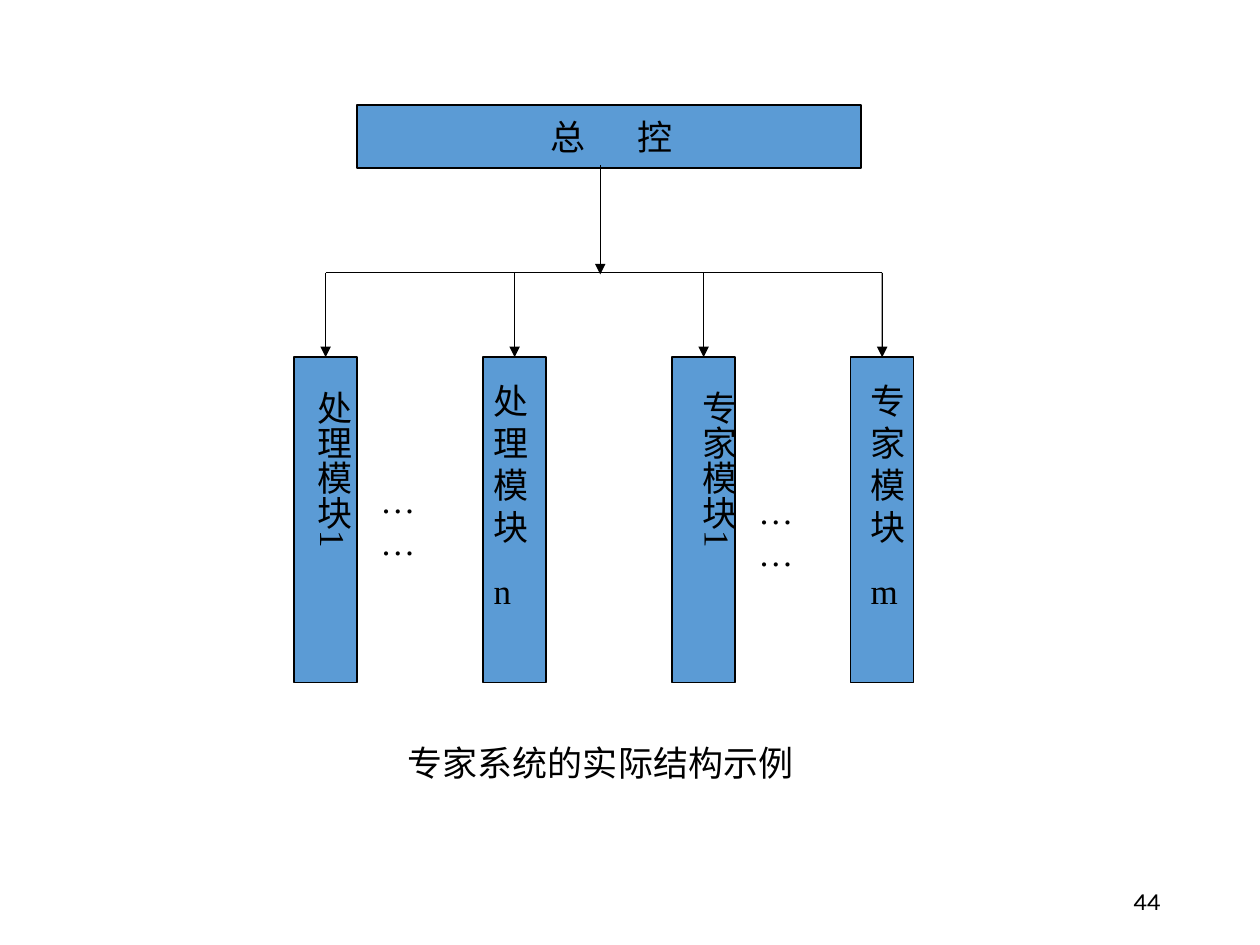
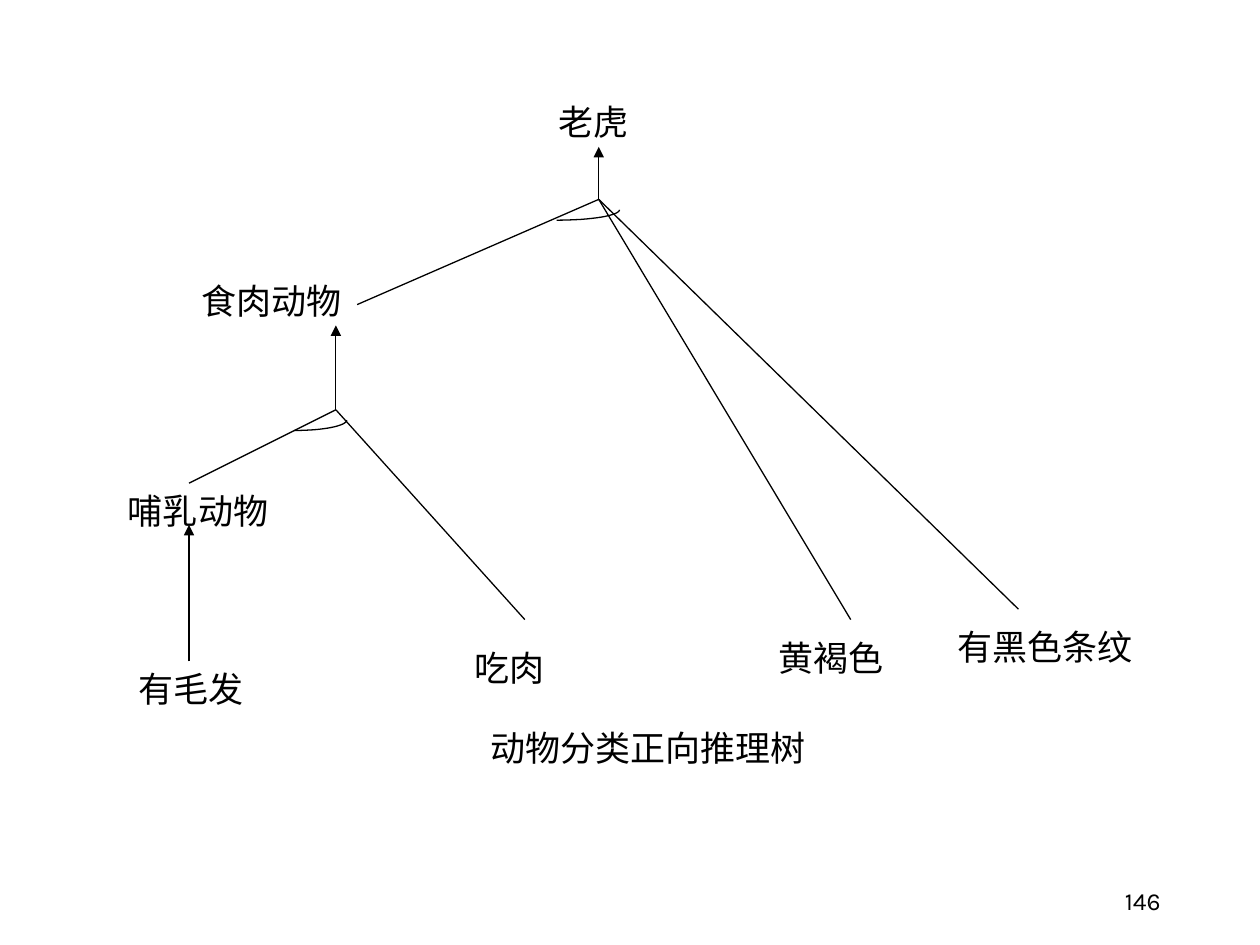
from math import cos, pi, sin

from lxml import etree
from pptx import Presentation
from pptx.dml.color import RGBColor
from pptx.enum.lang import MSO_LANGUAGE_ID
from pptx.enum.shapes import MSO_CONNECTOR, MSO_SHAPE
from pptx.enum.text import MSO_ANCHOR, MSO_AUTO_SIZE, PP_ALIGN
from pptx.oxml.ns import qn
from pptx.util import Cm, Pt

CHINESE = MSO_LANGUAGE_ID.SIMPLIFIED_CHINESE
STRAIGHT = MSO_CONNECTOR.STRAIGHT
RECTANGLE = MSO_SHAPE.RECTANGLE
MIDDLE = MSO_ANCHOR.MIDDLE
FIT_SHAPE = MSO_AUTO_SIZE.SHAPE_TO_FIT_TEXT
CENTER, RIGHT = PP_ALIGN.CENTER, PP_ALIGN.RIGHT

COLORS = {"ink": "000000", "box": "5B9BD5"}
BODY = {"name": "Times New Roman", "size": Pt(20), "language_id": CHINESE}
NUMBER = {"name": "Karla", "size": Pt(14)}
LABEL_H = 1.11
ARC_STEPS = 16


def color(key):
    return RGBColor.from_string(COLORS[key])


class Deck:
    def __init__(self):
        self.prs = Presentation()
        self.prs.slide_width, self.prs.slide_height = Cm(25.4), Cm(19.05)

    def new_slide(self, number):
        self.s = self.prs.slides.add_slide(self.prs.slide_layouts[6])
        tf = self.text(17.93, 17.65, 5.72, 1.02, [number], NUMBER, RIGHT)
        self.apply(tf, {"vertical_anchor": MIDDLE, "auto_size": MSO_AUTO_SIZE.NONE})

    def apply(self, target, values):
        for name, value in values.items():
            setattr(target, name, value)

    def run(self, p, text, values=BODY):
        r = p.add_run()
        r.text = text
        self.apply(r.font, values)
        r.font.color.rgb = color("ink")
        return r

    def text(self, x, y, w, h, lines, values=BODY, align=None):
        sp = self.s.shapes.add_textbox(Cm(x), Cm(y), Cm(w), Cm(h))
        tf = sp.text_frame
        self.apply(tf, {"word_wrap": True, "auto_size": FIT_SHAPE})
        for i, line in enumerate(lines):
            p = tf.add_paragraph() if i else tf.paragraphs[0]
            p.alignment = align
            if i:
                p.space_before = Pt(12.5)
            self.run(p, line, values)
        return tf

    def vertical_text(self, x, y, w, h, line):
        tf = self.text(x, y, w, h, [line])
        self.apply(tf, {"margin_left": Cm(0.13), "margin_right": Cm(0.13),
                        "margin_top": Cm(0.25), "margin_bottom": Cm(0.25)})
        tf._txBody.bodyPr.set("vert", "eaVert")

    def outline(self, target):
        target.line.color.rgb = color("ink")
        target.line.width = Pt(0.75)

    def box(self, x, y, w, h):
        sp = self.s.shapes.add_shape(RECTANGLE, Cm(x), Cm(y), Cm(w), Cm(h))
        sp.shadow.inherit = False
        sp.fill.solid()
        sp.fill.fore_color.rgb = color("box")
        self.outline(sp)
        return sp

    def spaced_box(self, x, y, w, h, first, last, gap):
        tf = self.box(x, y, w, h).text_frame
        self.apply(tf, {"word_wrap": False, "vertical_anchor": MIDDLE,
                        "margin_left": Cm(0.34)})
        p = tf.paragraphs[0]
        p.alignment = CENTER
        self.run(p, first)
        space = self.run(p, " ")
        space._r.get_or_add_rPr().set("spc", str(gap * 100))
        self.run(p, last)

    def line(self, start, end, arrow=False, target=None):
        cxn = self.s.shapes.add_connector(STRAIGHT, *map(Cm, start + end))
        self.outline(cxn)
        if arrow:
            etree.SubElement(cxn.line._get_or_add_ln(), qn("a:tailEnd"), type="triangle")
        etree.SubElement(cxn._element.spPr, qn("a:effectLst"))
        if target is not None:
            cxn.end_connect(target, 0)

    def arc(self, x, y, w, h):
        angles = [pi / 2 * i / ARC_STEPS for i in range(ARC_STEPS + 1)]
        points = [(Cm(x + w * sin(t)), Cm(y + h * cos(t))) for t in angles]
        fb = self.s.shapes.build_freeform(*points[0])
        fb.add_line_segments(points[1:], close=False)
        sp = fb.convert_to_shape()
        sp.shadow.inherit = False
        sp.fill.background()
        self.outline(sp)


def expert_system(deck):
    deck.new_slide("44")
    deck.text(7.97, 14.82, 9.38, LABEL_H, ["专家系统的实际结构示例"])
    deck.spaced_box(7.2, 2.12, 10.16, 1.27, "总", "控", 25)

    bus_y, module_y, module_w, module_h = 5.5, 7.2, 1.27, 6.56
    lefts = [5.93, 9.74, 13.55, 17.15]
    modules = [deck.box(x, module_y, module_w, module_h) for x in lefts]
    centers = [x + module_w / 2 for x in lefts]
    for x, module in zip(centers, modules):
        deck.line((x, bus_y), (x, module_y), True, module)
    deck.line((12.1, 3.33), (12.1, bus_y + 0.03), True)
    deck.line((centers[0], bus_y), (centers[-1], bus_y))

    for x, label in [(5.94, "处理模块1"), (13.69, "专家模块1")]:
        deck.vertical_text(x, 7.62, 1.35, 5.51, label)
    for x, y in [(7.42, 9.53), (15.04, 9.74)]:
        deck.text(x, y, 1.9, 1.96, ["……"])
    for x, w, lines in [(17.3, 0.99, ["专家模块", "m"]), (9.7, 1.19, ["处理模块", "n"])]:
        deck.text(x, 7.52, w, 4.93, lines)


def reasoning_tree(deck):
    deck.new_slide("146")
    deck.text(9.63, 14.53, 11.64, LABEL_H, ["动物分类正向推理树"])

    tiger, carnivore, mammal = (12.07, 4.02), (6.77, 8.26), (3.81, 13.33)
    branches = [
        (tiger, (20.53, 12.28)), (tiger, (17.15, 12.49)), (tiger, (7.2, 6.14)),
        (carnivore, (3.81, 9.74)), (carnivore, (10.58, 12.49)),
    ]
    for start, end in branches:
        deck.line(start, end)
    for start, tip_y in [(tiger, 2.96), (carnivore, 6.56), (mammal, 10.58)]:
        deck.line(start, (start[0], tip_y), True)
    deck.arc(5.93, 8.47, 1.06, 0.21)
    deck.arc(11.22, 4.23, 1.27, 0.21)

    labels = [
        (11, 1.9, 2.75, "老虎"), (3.81, 5.5, 3.39, "食肉动物"),
        (2.33, 9.74, 4.23, "哺乳动物"), (2.54, 13.33, 2.96, "有毛发"),
        (9.31, 12.91, 2.54, "吃肉"), (15.45, 12.7, 3.18, "黄褐色"),
        (19.05, 12.49, 4.87, "有黑色条纹"),
    ]
    for x, y, w, label in labels:
        deck.text(x, y, w, LABEL_H, [label])


def main():
    deck = Deck()
    expert_system(deck)
    reasoning_tree(deck)
    deck.prs.save("out.pptx")


if __name__ == "__main__":
    main()
